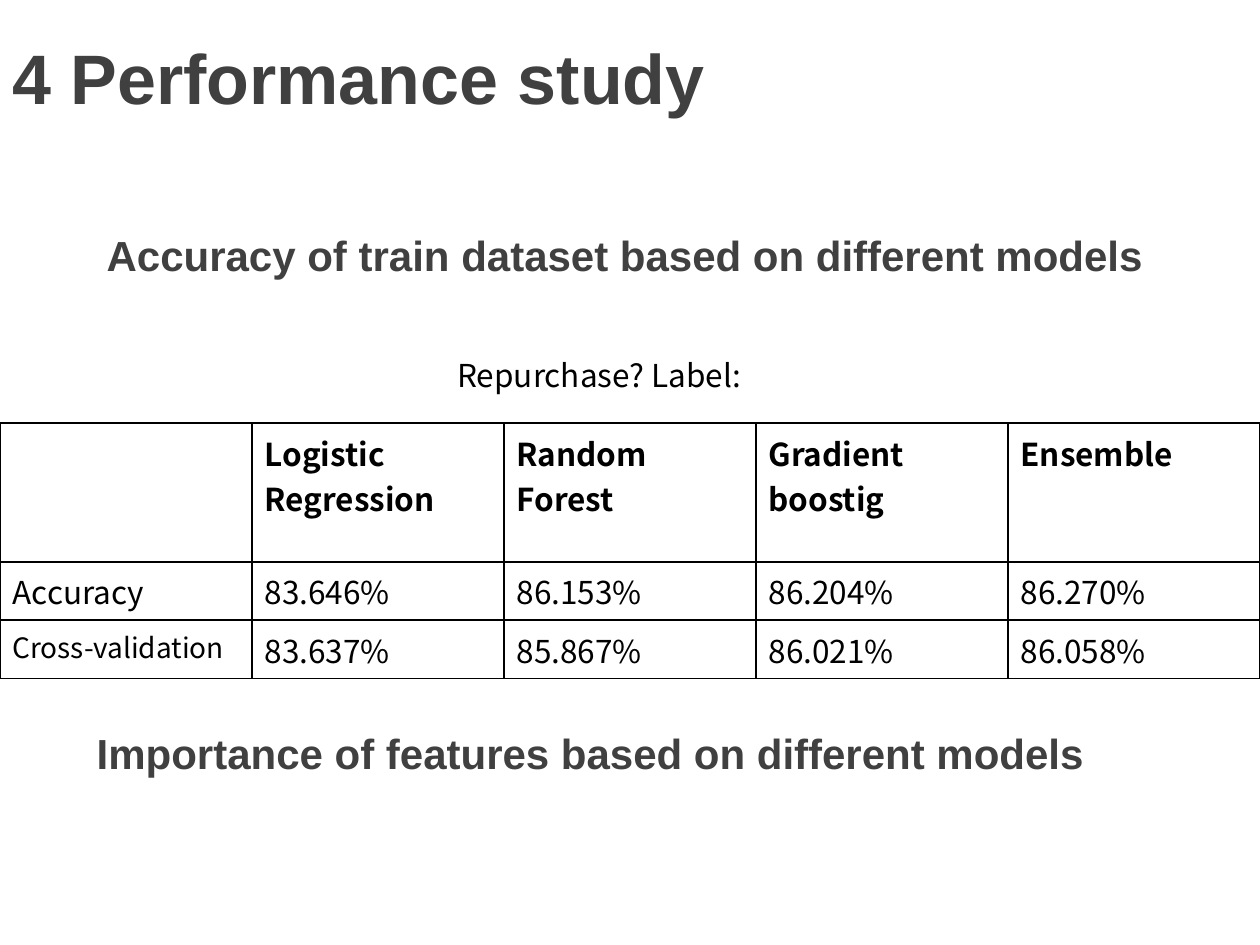
from lxml.etree import SubElement
from pptx import Presentation
from pptx.dml.color import RGBColor
from pptx.enum.text import MSO_ANCHOR, MSO_AUTO_SIZE, PP_ALIGN
from pptx.oxml.ns import qn
from pptx.util import Cm, Pt

GREY = RGBColor(0x40, 0x40, 0x40)
BLACK = RGBColor(0x00, 0x00, 0x00)
WHITE = RGBColor(0xFF, 0xFF, 0xFF)

HEADING_FONT = "Arial"
HEADER_FONT = "Noto Sans CJK SC"
BODY_FONT = "Noto Sans CJK KR"

RESULTS = [
    ["", "Logistic Regression", "Random Forest", "Gradient boostig", "Ensemble"],
    ["Accuracy", "83.646%", "86.153%", "86.204%", "86.270%"],
    ["Cross-validation", "83.637%", "85.867%", "86.021%", "86.058%"],
]
ROW_HEIGHTS = [2.8, 1.17, 1.17]


class SlideBuilder:
    def __init__(self, deck):
        self.slide = deck.slides.add_slide(deck.slide_layouts[5])

    def place(self, shape, left, top, width, height):
        shape.left, shape.top = Cm(left), Cm(top)
        shape.width, shape.height = Cm(width), Cm(height)

    def set_text(self, frame, text, size, font, color, bold=False):
        frame.text = text
        para = frame.paragraphs[0]
        para.alignment = PP_ALIGN.LEFT
        para.font.size = Pt(size)
        para.font.name = font
        para.font.bold = bold
        para.font.color.rgb = color

    def heading(self, shape, text, size):
        frame = shape.text_frame
        frame.word_wrap = True
        frame.auto_size = MSO_AUTO_SIZE.NONE
        frame.vertical_anchor = MSO_ANCHOR.MIDDLE
        self.set_text(frame, text, size, HEADING_FONT, GREY, True)

    def title(self, text, *bounds):
        title = self.slide.shapes.title
        self.place(title, *bounds)
        self.heading(title, text, 40)

    def subtitle(self, text, *bounds):
        box = self.slide.shapes.add_textbox(*map(Cm, bounds))
        self.heading(box, text, 24)

    def label(self, text, *bounds):
        box = self.slide.shapes.add_textbox(*map(Cm, bounds))
        box.text_frame.word_wrap = False
        self.set_text(box.text_frame, text, 18, BODY_FONT, BLACK)

    def border(self, cell):
        properties = cell._tc.get_or_add_tcPr()
        for side in ("a:lnL", "a:lnR", "a:lnT", "a:lnB"):
            line = SubElement(properties, qn(side), w=str(Pt(1)))
            fill = SubElement(line, qn("a:solidFill"))
            SubElement(fill, qn("a:srgbClr"), val=str(BLACK))

    def table(self, rows, heights, left, top, width):
        frame = self.slide.shapes.add_table(
            len(rows), len(rows[0]), Cm(left), Cm(top), Cm(width), Cm(sum(heights))
        )
        table = frame.table
        for row, height in zip(table.rows, heights):
            row.height = Cm(height)
        for row_index, values in enumerate(rows):
            header = row_index == 0
            font = HEADER_FONT if header else BODY_FONT
            for column_index, value in enumerate(values):
                cell = table.cell(row_index, column_index)
                size = 16 if value == "Cross-validation" else 18
                self.set_text(cell.text_frame, value, size, font, BLACK, header)
                self.border(cell)
                cell.fill.solid()
                cell.fill.fore_color.rgb = WHITE


def main():
    deck = Presentation()
    deck.slide_width, deck.slide_height = Cm(25.4), Cm(19.05)
    builder = SlideBuilder(deck)
    builder.title("4 Performance study", 0, 0.05, 25.4, 2.97)
    builder.subtitle("Importance of features based on different models", 1.7, 14.53, 22.86, 1.27)
    builder.table(RESULTS, ROW_HEIGHTS, 0, 8.53, 25.4)
    builder.subtitle("Accuracy of train dataset based on different models", 1.9, 4.5, 22.86, 1.27)
    builder.label("Repurchase? Label:", 8.97, 7.06, 6.68, 1.02)
    deck.save("out.pptx")


if __name__ == "__main__":
    main()
